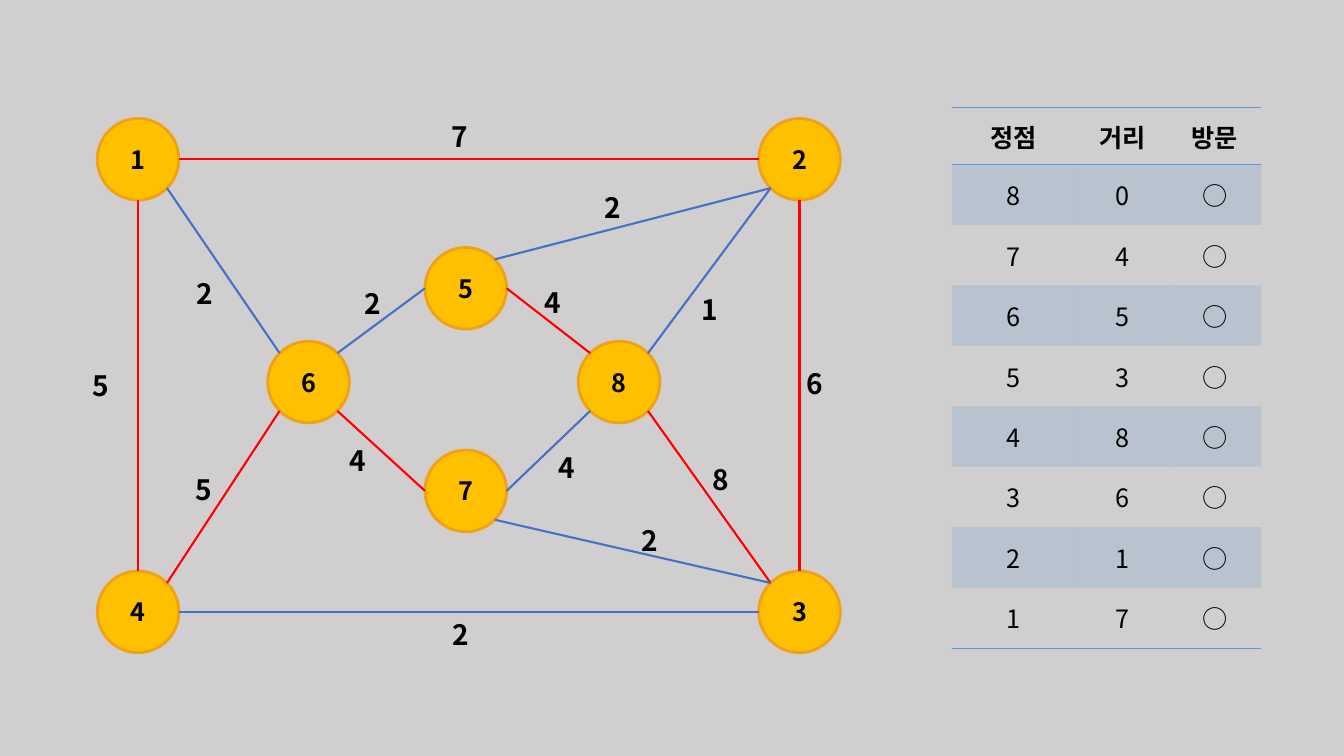
"""Build a weighted graph slide with its vertex, distance and visit table."""
from math import cos, radians, sin
from typing import NamedTuple

from lxml import etree
from pptx import Presentation
from pptx.dml.color import RGBColor
from pptx.enum.shapes import MSO_CONNECTOR, MSO_SHAPE
from pptx.enum.text import MSO_ANCHOR, MSO_AUTO_SIZE, PP_ALIGN
from pptx.oxml.ns import qn
from pptx.util import Inches, Pt

OVAL = MSO_SHAPE.OVAL
STRAIGHT = MSO_CONNECTOR.STRAIGHT
MIDDLE = MSO_ANCHOR.MIDDLE
GROW = MSO_AUTO_SIZE.SHAPE_TO_FIT_TEXT
CENTER = PP_ALIGN.CENTER

COLORS = {
    "background": "D0CECE", "text": "000000",
    "node": "FFC000", "node_line": "F1A116",
    "red": "FF0000", "blue": "4472C4", "table": "5B9BD5",
}
FONT = "Noto Sans CJK KR"
NO_STYLE = "{2D5ABB26-0587-4C30-8999-92F81FD0307C}"
DIAMETER = 0.81
ANGLES = {"E": 0, "SE": 45, "S": 90, "SW": 135, "W": 180, "NW": 225, "N": 270, "NE": 315}


class Vertex(NamedTuple):
    """Centre of a vertex circle."""
    x: float
    y: float


class Edge(NamedTuple):
    """Edge between two circle sites, with its weight and label corner."""
    start: str
    start_site: str
    end: str
    end_site: str
    color: str
    weight: str
    label_x: float
    label_y: float


VERTICES = {
    "1": Vertex(1.37, 1.58), "2": Vertex(7.93, 1.58),
    "4": Vertex(1.37, 6.07), "3": Vertex(7.93, 6.07),
    "5": Vertex(4.62, 2.86), "7": Vertex(4.62, 4.87),
    "8": Vertex(6.14, 3.79), "6": Vertex(3.06, 3.79),
}
EDGES = [
    Edge("1", "E", "2", "W", "red", "7", 4.38, 1.14),
    Edge("1", "SE", "6", "NW", "blue", "2", 1.85, 2.69),
    Edge("4", "NE", "6", "SW", "red", "5", 1.84, 4.64),
    Edge("4", "N", "1", "S", "red", "5", 0.82, 3.61),
    Edge("4", "E", "3", "W", "blue", "2", 4.39, 6.08),
    Edge("6", "SE", "7", "W", "red", "4", 3.37, 4.35),
    Edge("6", "NE", "5", "W", "blue", "2", 3.52, 2.79),
    Edge("5", "E", "8", "NW", "red", "4", 5.3, 2.78),
    Edge("8", "SE", "3", "NW", "red", "8", 6.97, 4.54),
    Edge("8", "NE", "2", "SW", "blue", "1", 6.86, 2.85),
    Edge("3", "N", "2", "S", "red", "6", 7.9, 3.59),
    Edge("7", "E", "8", "SW", "blue", "4", 5.44, 4.42),
    Edge("5", "NE", "2", "SW", "blue", "2", 5.9, 1.84),
    Edge("7", "SE", "3", "NW", "blue", "2", 6.26, 5.14),
]
HEADERS = ("정점", "거리", "방문")
DISTANCES = {"8": "0", "7": "4", "6": "5", "5": "3", "4": "8", "3": "6", "2": "1", "1": "7"}
COLUMN_WIDTHS = (1.23, 0.92, 0.92)
HEADER_HEIGHT, ROW_HEIGHT = 0.56, 0.6


def rgb(name: str) -> RGBColor:
    """Return a named colour."""
    return RGBColor.from_string(COLORS[name])


def add_text(tf, text: str, size: int, bold: bool = True) -> None:
    """Add one formatted run to the first paragraph."""
    r = tf.paragraphs[0].add_run()
    r.text = text
    r.font.size = Pt(size)
    r.font.bold = bold
    r.font.color.rgb = rgb("text")
    r.font.name = FONT
    etree.SubElement(r.font._element, qn("a:ea"), typeface=FONT)


def add_vertex(s, name: str, vertex: Vertex) -> None:
    """Draw a numbered circle."""
    sp = s.shapes.add_shape(OVAL, Inches(vertex.x - DIAMETER / 2), Inches(vertex.y - DIAMETER / 2),
                            Inches(DIAMETER), Inches(DIAMETER))
    sp.shadow.inherit = False
    sp.fill.solid()
    sp.fill.fore_color.rgb = rgb("node")
    sp.line.color.rgb = rgb("node_line")
    sp.line.width = Pt(2)
    sp.text_frame.vertical_anchor = MIDDLE
    sp.text_frame.paragraphs[0].alignment = CENTER
    add_text(sp.text_frame, name, 18)


def site_point(name: str, site: str) -> tuple:
    """Return the point of a circle in a compass direction."""
    vertex, angle = VERTICES[name], radians(ANGLES[site])
    return (Inches(vertex.x + DIAMETER / 2 * cos(angle)),
            Inches(vertex.y + DIAMETER / 2 * sin(angle)))


def add_edge(s, edge: Edge) -> None:
    """Draw an edge and its weight."""
    line = s.shapes.add_connector(STRAIGHT, *site_point(edge.start, edge.start_site),
                                  *site_point(edge.end, edge.end_site))
    line.line.color.rgb = rgb(edge.color)
    line.line.width = Pt(1.5)
    etree.SubElement(line.element.spPr, qn("a:effectLst"))
    label = s.shapes.add_textbox(Inches(edge.label_x), Inches(edge.label_y),
                                 Inches(0.36), Inches(0.44))
    label.text_frame.word_wrap = False
    label.text_frame.auto_size = GROW
    add_text(label.text_frame, edge.weight, 20)


def add_border(cell, index: int, side: str) -> None:
    """Add a one-point border to a side of a cell."""
    border = etree.Element(qn(f"a:{side}"), w=str(Pt(1)))
    fill = etree.SubElement(border, qn("a:solidFill"))
    etree.SubElement(fill, qn("a:srgbClr"), val=COLORS["table"])
    cell._tc.get_or_add_tcPr().insert(index, border)


def fill_cell(cell, banded: bool) -> None:
    """Give a cell a translucent band or no fill."""
    if not banded:
        cell.fill.background()
        return
    cell.fill.solid()
    cell.fill.fore_color.rgb = rgb("table")
    color = cell._tc.tcPr.find(f".//{qn('a:srgbClr')}")
    etree.SubElement(color, qn("a:alpha"), val="20000")


def add_distance_table(s) -> None:
    """Draw the table of vertices, distances and visits."""
    rows = [HEADERS] + [(vertex, distance, "○") for vertex, distance in DISTANCES.items()]
    height = HEADER_HEIGHT + ROW_HEIGHT * len(DISTANCES)
    frame = s.shapes.add_table(len(rows), len(HEADERS), Inches(9.44), Inches(1.07),
                               Inches(sum(COLUMN_WIDTHS)), Inches(height))
    frame.element.find(f".//{qn('a:tableStyleId')}").text = NO_STYLE
    table = frame.table
    for column, width in zip(table.columns, COLUMN_WIDTHS):
        column.width = Inches(width)
    for i, values in enumerate(rows):
        table.rows[i].height = Inches(ROW_HEIGHT if i else HEADER_HEIGHT)
        for j, value in enumerate(values):
            cell = table.cell(i, j)
            cell.vertical_anchor = MIDDLE
            cell.text_frame.paragraphs[0].alignment = CENTER
            add_text(cell.text_frame, value, 18, bold=i == 0)
            fill_cell(cell, i % 2 == 1)
            if i in (0, len(rows) - 1):
                add_border(cell, 0, "lnB")
            if i == 0:
                add_border(cell, 0, "lnT")


def main() -> None:
    """Build and save the slide."""
    prs = Presentation()
    prs.slide_width, prs.slide_height = Inches(13.33), Inches(7.5)
    s = prs.slides.add_slide(prs.slide_layouts[6])
    s.background.fill.solid()
    s.background.fill.fore_color.rgb = rgb("background")
    add_distance_table(s)
    for name, vertex in VERTICES.items():
        add_vertex(s, name, vertex)
    for edge in EDGES:
        add_edge(s, edge)
    prs.save("out.pptx")


if __name__ == "__main__":
    main()
